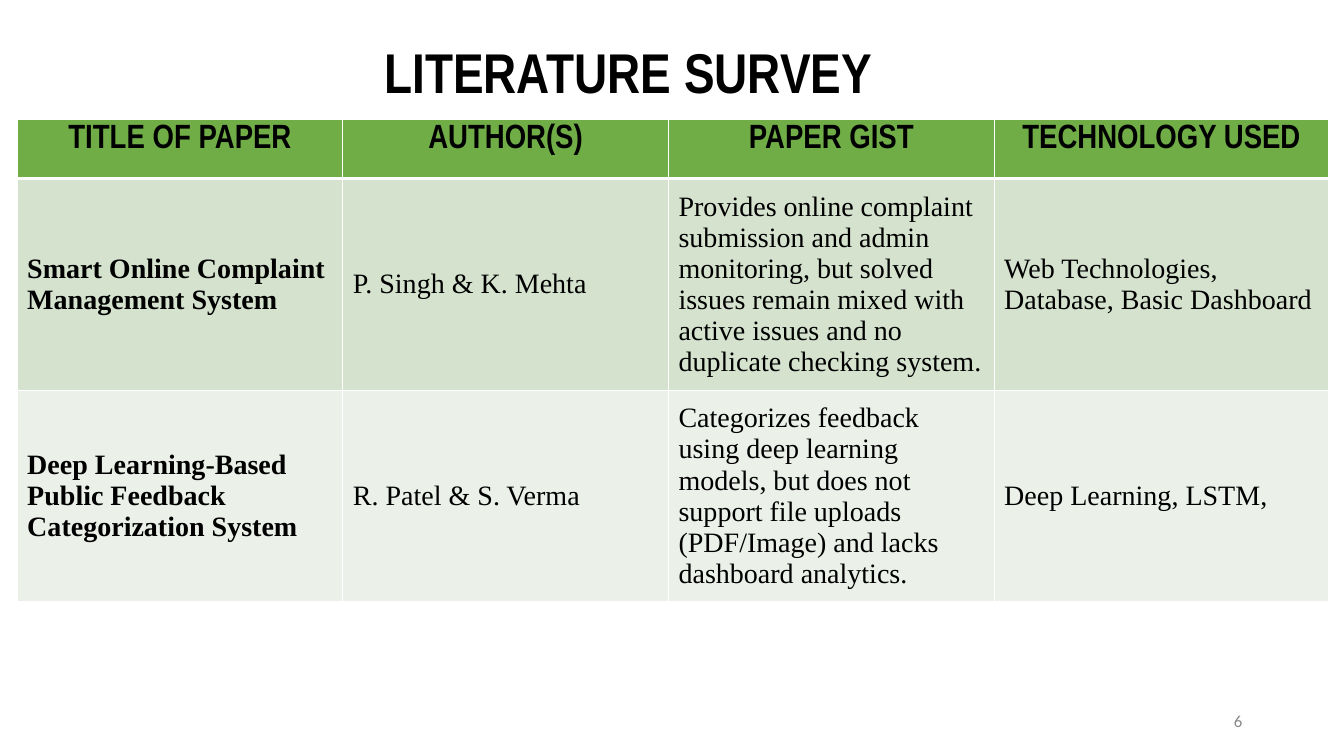
from lxml import etree
from pptx import Presentation
from pptx import util as u
from pptx.dml.color import RGBColor
from pptx.enum import text as t
from pptx.oxml import ns

WIDE, HIGH = 13.33, 7.5
BLACK, WHITE, GREY, GREEN = "000000", "FFFFFF", "888888", "70AD47"
BANDS = ["D4E2CE", "EBF1E8"]
COLS = [3.23, 3.23, 3.23, 3.32]
ROWS = [0.59, 2.1, 2.1]
HEADS = ["TITLE OF PAPER", "AUTHOR(S)", "PAPER GIST", "TECHNOLOGY USED"]
PAPERS = [
    ["Smart Online Complaint Management System",
     "P. Singh & K. Mehta",
     "Provides online complaint submission and admin monitoring, but solved "
     "issues remain mixed with active issues and no duplicate checking system.",
     "Web Technologies, Database, Basic Dashboard"],
    ["Deep Learning-Based Public Feedback Categorization System",
     "R. Patel & S. Verma",
     "Categorizes feedback using deep learning models, but does not support "
     "file uploads (PDF/Image) and lacks dashboard analytics.",
     "Deep Learning, LSTM,"],
]


def paint(color, tone):
    color.rgb = RGBColor.from_string(tone)


def write(frame, words, face, size, tone=BLACK, bold=False, align=t.PP_ALIGN.LEFT):
    frame.text = words
    frame.word_wrap = True
    para = frame.paragraphs[0]
    para.alignment = align
    font = para.font
    font.name, font.size, font.bold = face, u.Pt(size), bold
    paint(font.color, tone)


def edge(cell, low):
    props = cell._tc.get_or_add_tcPr()
    for spot, side in enumerate("LRTB"):
        line = etree.Element(ns.qn(f"a:ln{side}"))
        line.set("w", str(u.Pt(low if side == "B" else 1)))
        fill = etree.SubElement(line, ns.qn("a:solidFill"))
        etree.SubElement(fill, ns.qn("a:srgbClr")).set("val", WHITE)
        props.insert(spot, line)


def title(slide, box):
    head = slide.shapes.title
    head.left, head.top, head.width, head.height = map(u.Inches, box)
    frame = head.text_frame
    write(frame, "LITERATURE SURVEY", "Arial Narrow", 40, bold=True,
          align=t.PP_ALIGN.CENTER)
    frame.vertical_anchor = t.MSO_ANCHOR.TOP
    frame.auto_size = t.MSO_AUTO_SIZE.NONE


def survey(slide, box):
    data = [HEADS] + PAPERS
    grid = slide.shapes.add_table(len(data), len(HEADS), *map(u.Inches, box)).table
    for col, wide in zip(grid.columns, COLS):
        col.width = u.Inches(wide)
    for row, high in zip(grid.rows, ROWS):
        row.height = u.Inches(high)
    for r, line in enumerate(data):
        for c, words in enumerate(line):
            cell = grid.cell(r, c)
            cell.fill.solid()
            paint(cell.fill.fore_color, BANDS[r - 1] if r else GREEN)
            edge(cell, 1 if r else 3)
            if r:
                cell.vertical_anchor = t.MSO_ANCHOR.MIDDLE
                write(cell.text_frame, words, "Times New Roman", 20, bold=c == 0)
            else:
                write(cell.text_frame, words, "Arial Narrow", 24, bold=True,
                      align=t.PP_ALIGN.CENTER)


def number(slide, box):
    frame = slide.shapes.add_textbox(*map(u.Inches, box)).text_frame
    write(frame, "6", "Calibri", 12, GREY, align=t.PP_ALIGN.RIGHT)
    frame.vertical_anchor = t.MSO_ANCHOR.MIDDLE


def main():
    deck = Presentation()
    deck.slide_width, deck.slide_height = u.Inches(WIDE), u.Inches(HIGH)
    slide = deck.slides.add_slide(deck.slide_layouts[5])
    number(slide, (9.42, 6.95, 3, 0.4))
    survey(slide, (0.17, 1.18, sum(COLS), sum(ROWS)))
    title(slide, (2.9, 0.32, WIDE / 2, 0.77))
    deck.save("out.pptx")


if __name__ == "__main__":
    main()
